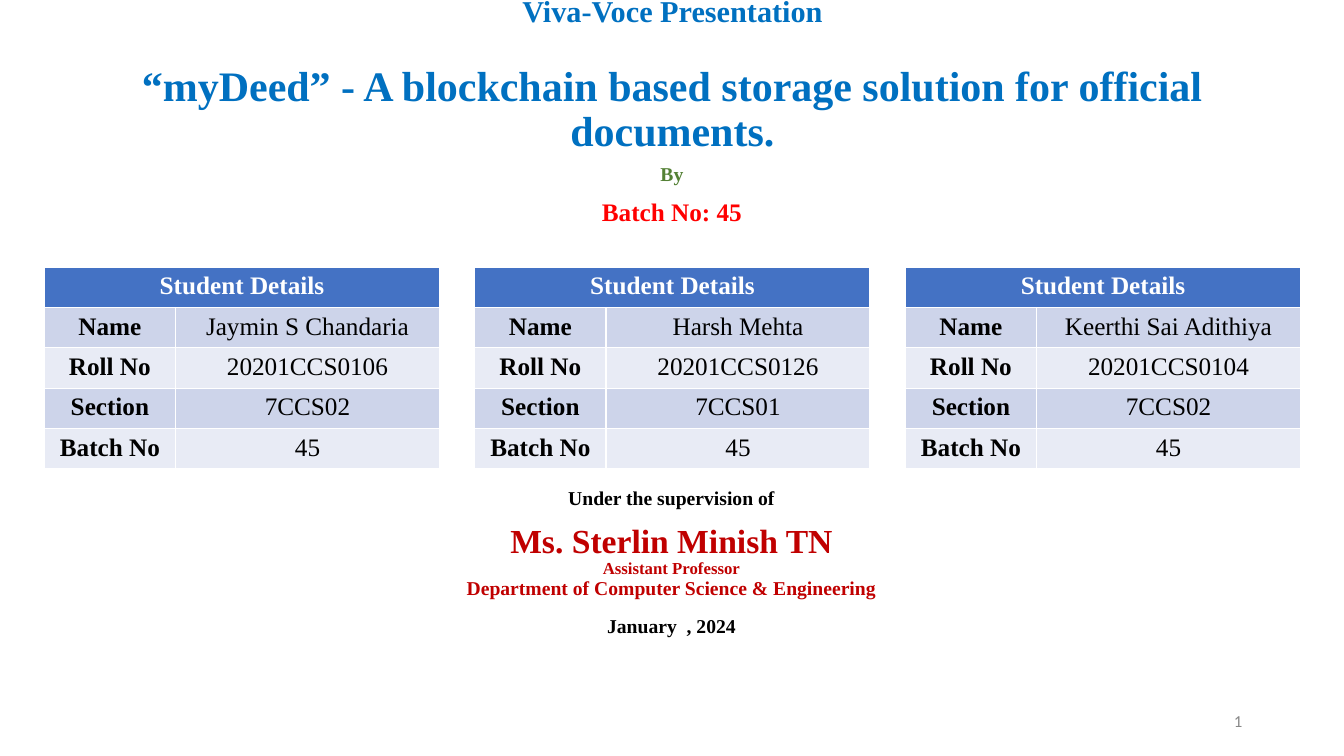
from pptx import Presentation
from pptx.dml.color import RGBColor
from pptx.enum.text import MSO_ANCHOR as Anchor, PP_ALIGN as Align
from pptx.util import Inches, Pt

COLORS = {
    "title": "0070C0", "by": "548135", "batch": "FF0000", "guide": "C00000",
    "text": "000000", "number": "888888", "header": "4472C4",
    "header_text": "FFFFFF", "odd_row": "CDD4EA", "even_row": "E8EBF5",
}
SERIF = "Times New Roman"


def write(paragraph, text, size, color, bold=True, font=SERIF, align=Align.CENTER):
    paragraph.alignment = align
    run = paragraph.add_run()
    run.text = text
    formats = {"size": Pt(size), "bold": bold, "name": font}
    for attribute, value in formats.items():
        setattr(run.font, attribute, value)
    run.font.color.rgb = RGBColor.from_string(COLORS[color])


def add_lines(box, lines, **frame_formats):
    """Add a text box; each line is (text, size, color, points of space before)."""
    frame = slide.shapes.add_textbox(*map(Inches, box)).text_frame
    frame.word_wrap = True
    for attribute, value in frame_formats.items():
        setattr(frame, attribute, value)
    for index, (text, size, color, space) in enumerate(lines):
        paragraph = frame.add_paragraph() if index else frame.paragraphs[0]
        paragraph.line_spacing = 0.9
        paragraph.space_before = Pt(space)
        write(paragraph, text, size, color)


prs = Presentation()
prs.slide_width, prs.slide_height = Inches(13.33), Inches(7.5)
slide = prs.slides.add_slide(prs.slide_layouts[6])

# Title block
add_lines((0.92, 0.14, 11.5, 1.71), [
    ("Viva-Voce Presentation", 21.6, "title", 0),
    ("“myDeed” - A blockchain based storage solution for official documents.",
     30, "title", 26),
], vertical_anchor=Anchor.MIDDLE, margin_bottom=Inches(0.53))

# Slide number
number = slide.shapes.add_textbox(*map(Inches, (9.42, 6.95, 3, 0.4))).text_frame
number.word_wrap = True
number.vertical_anchor = Anchor.MIDDLE
write(number.paragraphs[0], "1", 12, "number", False, "Calibri", Align.RIGHT)

# Student tables
labels = ["Name", "Roll No", "Section", "Batch No"]
students = [
    ("Jaymin S Chandaria", "20201CCS0106", "7CCS02", "45"),
    ("Harsh Mehta", "20201CCS0126", "7CCS01", "45"),
    ("Keerthi Sai Adithiya", "20201CCS0104", "7CCS02", "45"),
]
label_width, value_width, row_height = 1.3, 2.62, 0.395
for position, student in enumerate(students):
    details = slide.shapes.add_table(
        5, 2, Inches(0.44 + 4.27 * position), Inches(2.65),
        Inches(label_width + value_width), Inches(5 * row_height)).table
    details.columns[0].width = Inches(label_width)
    details.columns[1].width = Inches(value_width)
    details.cell(0, 0).merge(details.cell(0, 1))
    write(details.cell(0, 0).text_frame.paragraphs[0],
          "Student Details", 18, "header_text")
    for row, entry in enumerate(zip(labels, student), start=1):
        for column, text in enumerate(entry):
            write(details.cell(row, column).text_frame.paragraphs[0],
                  text, 18, "text", bold=column == 0)
    fills = ["header"] + ["odd_row", "even_row"] * 2
    for row, fill in enumerate(fills):
        for cell in details.rows[row].cells:
            cell.fill.solid()
            cell.fill.fore_color.rgb = RGBColor.from_string(COLORS[fill])

# Supervisor and batch
padding = {"margin_top": Inches(0.1), "margin_bottom": Inches(0.1)}
add_lines((4.45, 4.75, 4.42, 1.55), [
    ("Under the supervision of", 14, "text", 10),
    ("Ms. Sterlin Minish TN", 24, "guide", 10),
    ("Assistant Professor", 12, "guide", 0),
    ("Department of Computer Science & Engineering", 14, "guide", 0),
    ("January  , 2024", 14, "text", 12),
], **padding)
add_lines((5.2, 1.53, 2.93, 0.82), [
    ("By", 14, "by", 10),
    ("Batch No: 45", 18, "batch", 10),
], **padding)

prs.save("out.pptx")
